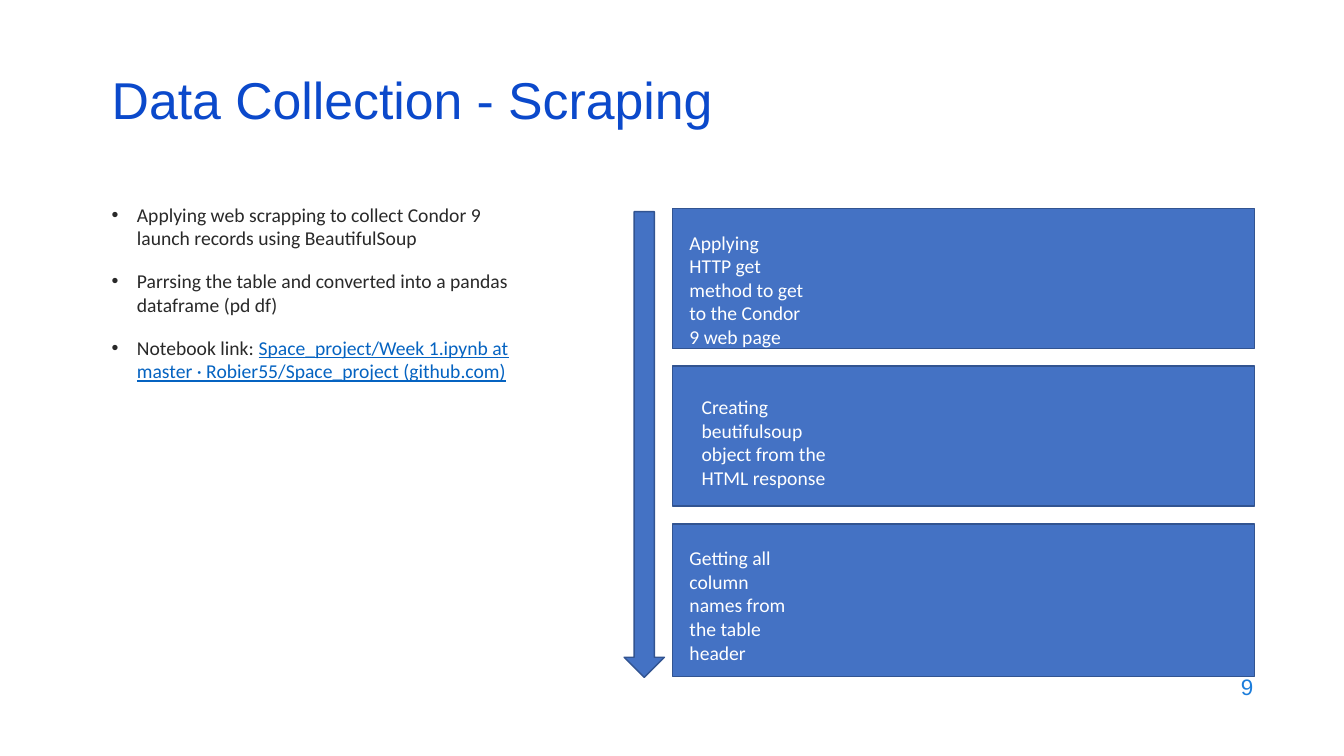
from pptx import Presentation
from pptx import util as u
from pptx.dml.color import RGBColor
from pptx.enum import shapes, text
from pptx.oxml.ns import qn
from lxml import etree

COLORS = {
    "title": "0B49CB", "body": "292929", "link": "0563C1", "number": "1C7DDB",
    "fill": "4472C4", "line": "325491", "white": "FFFFFF",
}
TITLE = {"name": "Arial", "size": u.Pt(37)}
NUMBER = {"name": "Arial", "size": u.Pt(16)}
BODY = {"name": "Calibri", "size": u.Pt(14)}
LINK = {**BODY, "underline": True}

BULLETS = [
    [("Applying web scrapping to collect Condor 9 launch records using BeautifulSoup", BODY, "body")],
    [("Parrsing the table and converted into a pandas dataframe (pd df)", BODY, "body")],
    [("Notebook link: ", BODY, "body"),
     ("Space_project/Week 1.ipynb at master · Robier55/Space_project (github.com)", LINK, "link")],
]

# Each step: panel top and height, then label position, size and wording
STEPS = [
    (2.07, 1.39, (6.74, 2.24, 1.34, 1.28),
     "Applying HTTP get method to get to the Condor 9 web page"),
    (3.63, 1.39, (6.86, 3.87, 1.49, 1.04),
     "Creating beutifulsoup object from the HTML response"),
    (5.2, 1.51, (6.74, 5.37, 1.34, 1.28),
     "Getting all column names from the table header"),
]


def rgb(name):
    return RGBColor.from_string(COLORS[name])


def add_run(p, words, font, color):
    r = p.add_run()
    r.text = words
    for key, value in font.items():
        setattr(r.font, key, value)
    r.font.color.rgb = rgb(color)


def add_box(s, box, **frame):
    tf = s.shapes.add_textbox(*map(u.Inches, box)).text_frame
    for key, value in {"word_wrap": True, **frame}.items():
        setattr(tf, key, value)
    return tf


def add_label(s, box, words, font, color, para=None, **frame):
    p = add_box(s, box, **frame).paragraphs[0]
    for key, value in (para or {}).items():
        setattr(p, key, value)
    add_run(p, words, font, color)


def add_bullets(s, box, items):
    tf = add_box(s, box)
    for i, runs in enumerate(items):
        p = tf.add_paragraph() if i else tf.paragraphs[0]
        pPr = p._p.get_or_add_pPr()
        pPr.set("marL", str(u.Inches(0.25)))
        pPr.set("indent", str(u.Inches(-0.25)))
        etree.SubElement(pPr, qn("a:buFont")).set("typeface", "Arial")
        etree.SubElement(pPr, qn("a:buChar")).set("char", "•")
        p.space_before = u.Pt(14 if i else 0)
        for run in runs:
            add_run(p, *run)


def add_panel(s, kind, box):
    sp = s.shapes.add_shape(kind, *map(u.Inches, box))
    sp.shadow.inherit = False
    sp.fill.solid()
    sp.fill.fore_color.rgb = rgb("fill")
    sp.line.color.rgb = rgb("line")
    sp.line.width = u.Pt(1)


def main():
    prs = Presentation()
    prs.slide_width, prs.slide_height = u.Inches(13.33), u.Inches(7.5)
    s = prs.slides.add_slide(prs.slide_layouts[6])
    middle = text.MSO_ANCHOR.MIDDLE

    # Title and bullets
    add_label(s, (1.01, 0.76, 11.5, 0.6), "Data Collection - Scraping", TITLE, "title",
              {"line_spacing": 0.7}, vertical_anchor=middle)
    add_bullets(s, (1.01, 1.96, 4.3, 4.17), BULLETS)

    # Scraping steps
    for top, height, label, words in STEPS:
        add_panel(s, shapes.MSO_SHAPE.RECTANGLE, (6.67, top, 5.77, height))
        add_label(s, label, words, BODY, "white",
                  auto_size=text.MSO_AUTO_SIZE.SHAPE_TO_FIT_TEXT)
    add_panel(s, shapes.MSO_SHAPE.DOWN_ARROW, (6.19, 2.1, 0.4, 4.62))

    # Page number
    add_label(s, (9.53, 6.59, 3, 0.44), "9", NUMBER, "number",
              {"alignment": text.PP_ALIGN.RIGHT}, vertical_anchor=middle)

    prs.save("out.pptx")


if __name__ == "__main__":
    main()
